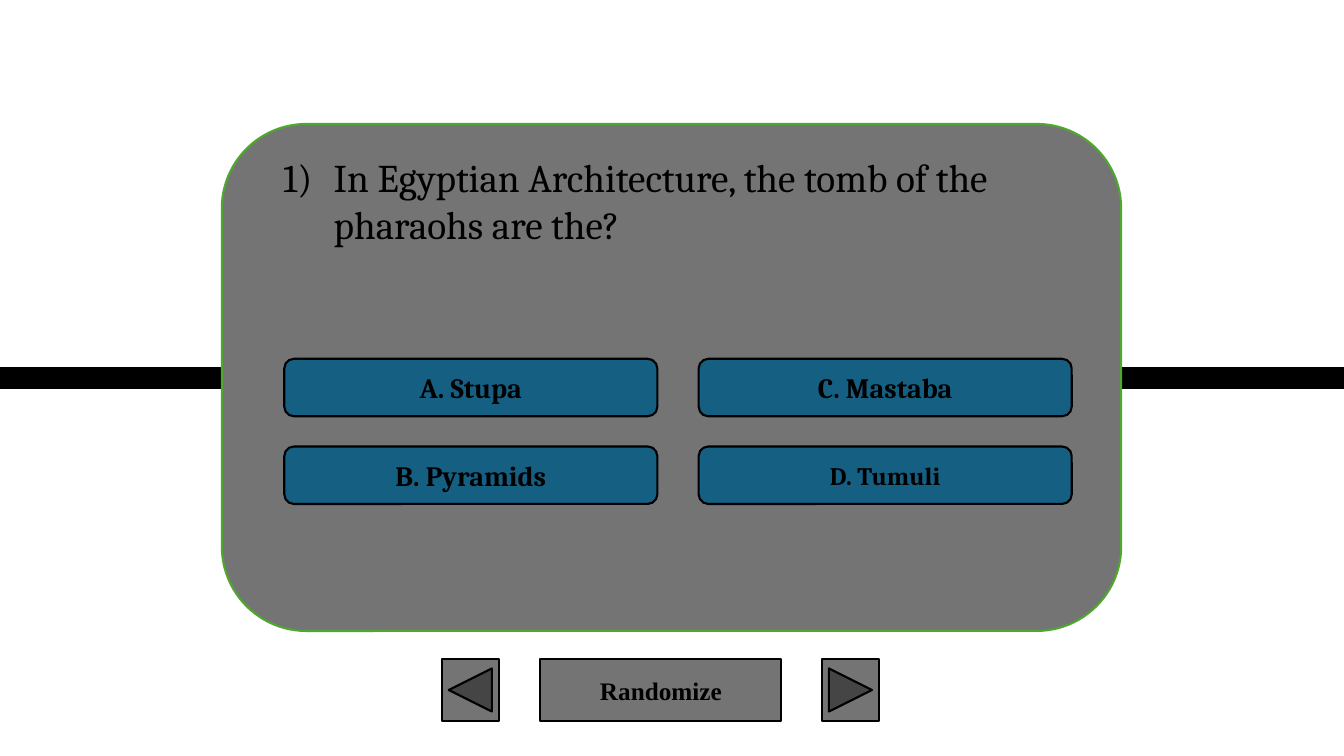
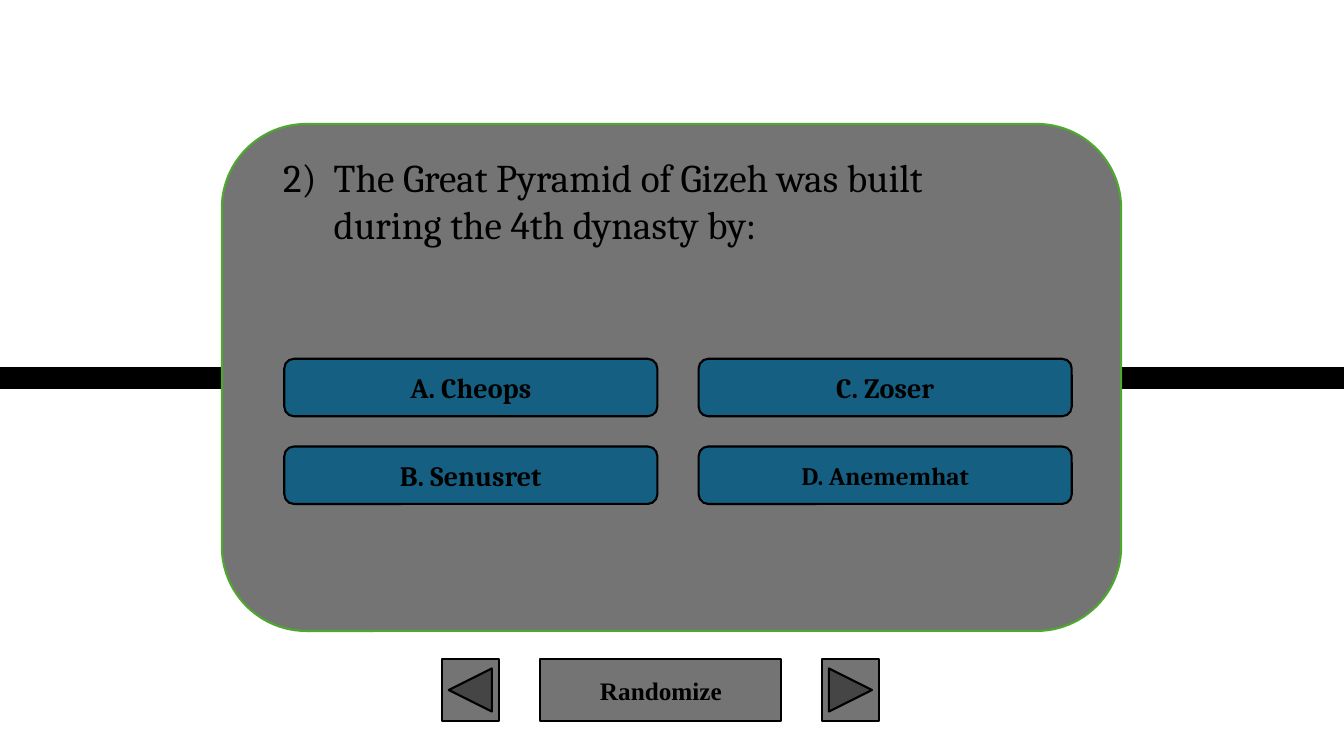
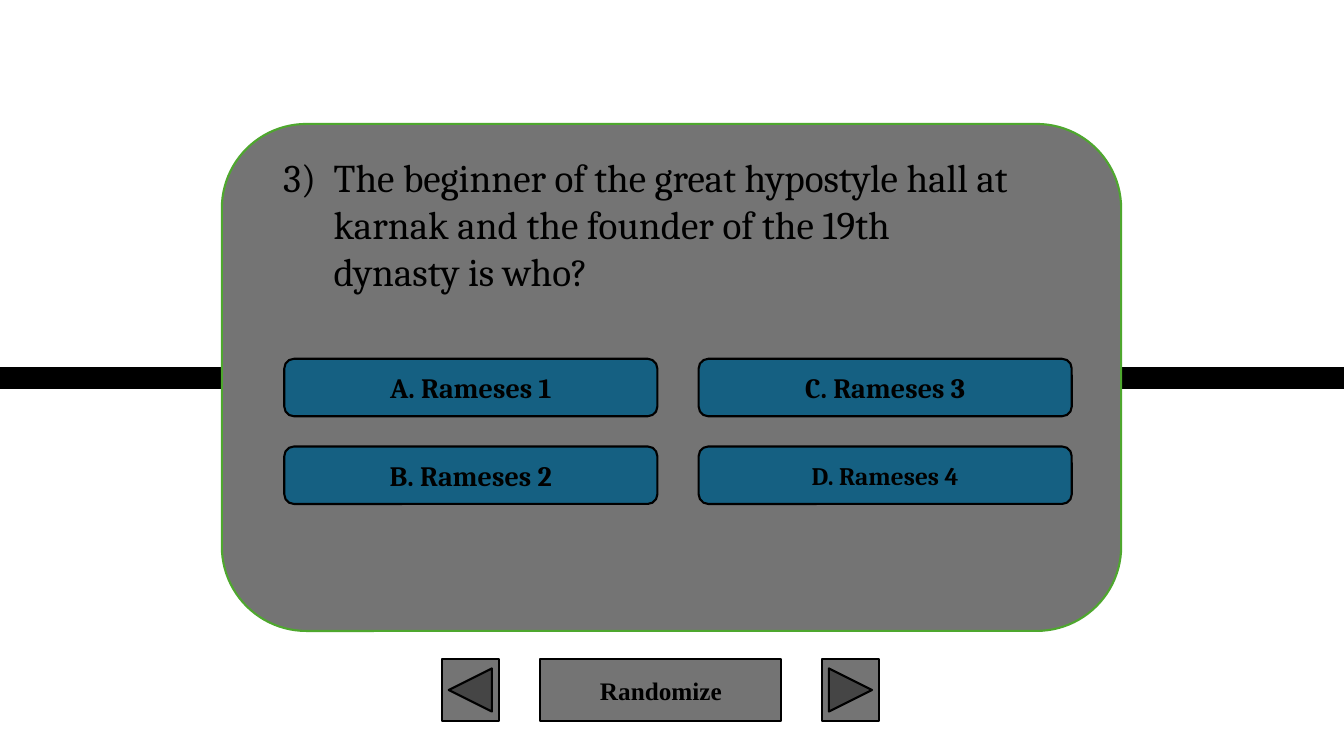
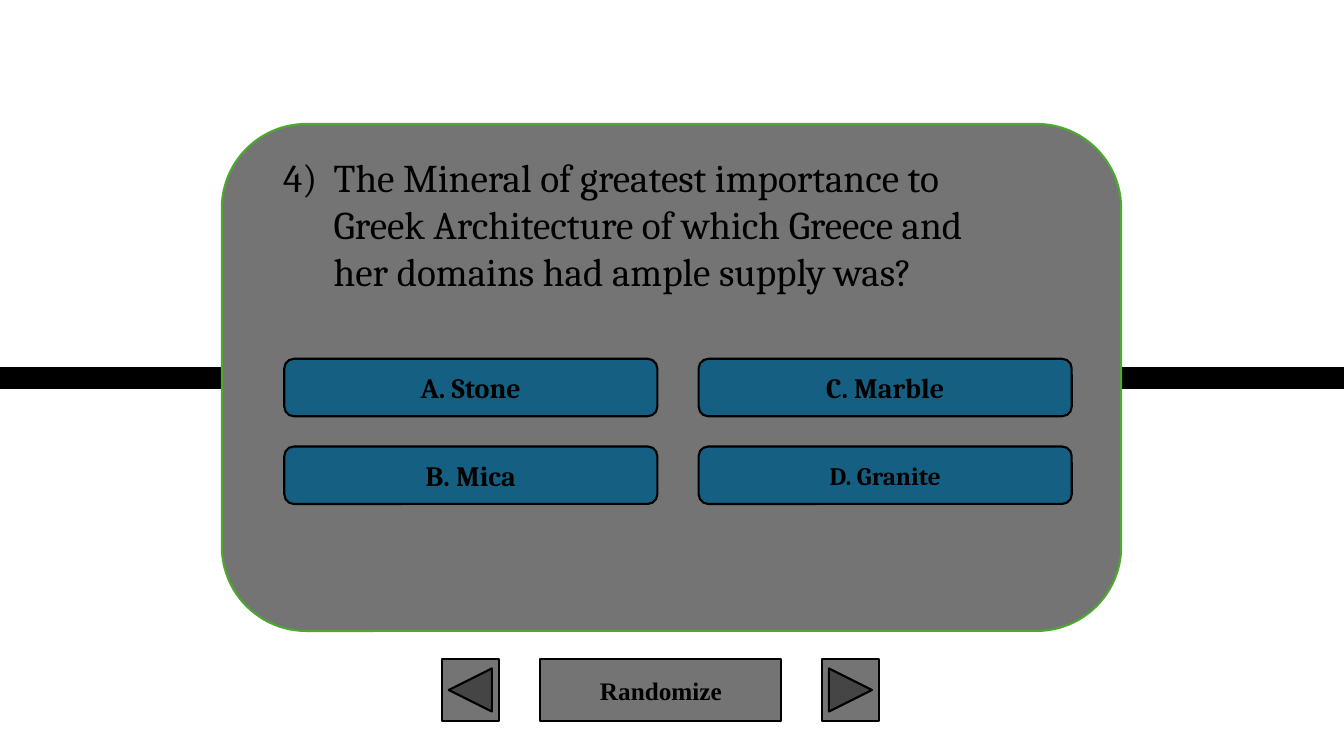
from lxml.etree import SubElement
from pptx import Presentation
from pptx.dml.color import RGBColor
from pptx.enum.shapes import MSO_CONNECTOR, MSO_SHAPE
from pptx.enum.text import MSO_ANCHOR, MSO_AUTO_SIZE, PP_ALIGN
from pptx.oxml.ns import qn
from pptx.util import Pt

PX = 9144  # EMU in one px, 100 px to the inch
SLIDE_W, SLIDE_H = 1333, 750
CARD = (220, 123, 892, 503)
NAV_BAR = (438, 654, 434, 61)

BLACK = RGBColor(0x00, 0x00, 0x00)
GRAY = RGBColor(0x74, 0x74, 0x74)
GREEN = RGBColor(0x4E, 0xA7, 0x2E)
BLUE = RGBColor(0x15, 0x60, 0x82)

SERIF = "Cambria"
NAV_FONT = "Times New Roman"

QUESTIONS = [
    ("In Egyptian Architecture, the tomb of the pharaohs are the?",
     ["Stupa", "Pyramids", "Mastaba", "Tumuli"]),
    ("The Great Pyramid of Gizeh was built during the 4th dynasty by:",
     ["Cheops", "Senusret", "Zoser", "Anememhat"]),
    ("The beginner of the great hypostyle hall at karnak and the founder "
     "of the 19th dynasty is who?",
     ["Rameses 1", "Rameses 2", "Rameses 3", "Rameses 4"]),
    ("The Mineral of greatest importance to Greek Architecture of which "
     "Greece and her domains had ample supply was?",
     ["Stone", "Mica", "Marble", "Granite"]),
]


def emu(*lengths):
    return [n * PX for n in lengths]


def write(sp, text, size, font=SERIF, bold=False, align=PP_ALIGN.LEFT,
          anchor=MSO_ANCHOR.TOP):
    tf = sp.text_frame
    tf.word_wrap = True
    tf.vertical_anchor = anchor
    tf.text = text
    p = tf.paragraphs[0]
    p.alignment = align
    f = p.runs[0].font
    f.name, f.size, f.bold = font, Pt(size), bold
    f.color.rgb = BLACK


def add_panel(s, kind, box, fill, line=BLACK):
    sp = s.shapes.add_shape(kind, *emu(*box))
    sp.shadow.inherit = False
    sp.fill.solid()
    sp.fill.fore_color.rgb = fill
    sp.line.color.rgb = line
    sp.line.width = Pt(1.5)
    return sp


def add_button(s, kind, box, fill, text, size, font=SERIF):
    sp = add_panel(s, kind, box, fill)
    write(sp, text, size, font, True, PP_ALIGN.CENTER, MSO_ANCHOR.MIDDLE)


def add_band(s):
    """Draw the thick line across the middle of the slide."""
    mid = SLIDE_H // 2
    band = s.shapes.add_connector(MSO_CONNECTOR.STRAIGHT,
                                  *emu(0, mid, SLIDE_W, mid))
    band.line.color.rgb = BLACK
    band.line.width = Pt(16)
    SubElement(band._element.spPr, qn("a:effectLst"))


def add_nav_bar(s, box):
    x, y, w, h = box
    arrow_w, middle_w = 57, 239
    add_button(s, MSO_SHAPE.ACTION_BUTTON_CUSTOM,
               (x + 98, y, middle_w, h), GRAY, "Randomize", 18, NAV_FONT)
    add_panel(s, MSO_SHAPE.ACTION_BUTTON_BACK_OR_PREVIOUS,
              (x, y, arrow_w, h), GRAY)
    add_panel(s, MSO_SHAPE.ACTION_BUTTON_FORWARD_OR_NEXT,
              (x + w - arrow_w, y, arrow_w, h), GRAY)


def add_question(s, box, number, question):
    x, y = box[0], box[1] + 24
    label = s.shapes.add_textbox(*emu(x + 51, y, 127, 57))
    write(label, f"{number})", 28)

    title = s.shapes.title
    title.left, title.top, title.width, title.height = emu(
        x + 101, y, 704, 151)
    write(title, question, 28)
    title.text_frame.auto_size = MSO_AUTO_SIZE.NONE
    s.shapes._spTree.append(title._element)  # bring in front of the card


def add_answers(s, box, answers):
    """Lay out the answers in two columns, filled from top to bottom."""
    x, y = box[0] + 62, box[1] + 233
    for i, (letter, answer) in enumerate(zip("ABCD", answers)):
        col, row = divmod(i, 2)
        add_button(s, MSO_SHAPE.ROUNDED_RECTANGLE,
                   (x + col * 411, y + row * 87, 370, 57), BLUE,
                   f"{letter}. {answer}", 18 if letter == "D" else 20)


def add_question_slide(prs, number, question, answers):
    s = prs.slides.add_slide(prs.slide_layouts[5])
    add_band(s)
    add_nav_bar(s, NAV_BAR)
    add_panel(s, MSO_SHAPE.ROUNDED_RECTANGLE, CARD, GRAY, GREEN)
    add_question(s, CARD, number, question)
    add_answers(s, CARD, answers)


def main():
    prs = Presentation()
    prs.slide_width, prs.slide_height = emu(SLIDE_W, SLIDE_H)
    for number, (question, answers) in enumerate(QUESTIONS, 1):
        add_question_slide(prs, number, question, answers)
    prs.save("out.pptx")


if __name__ == "__main__":
    main()
